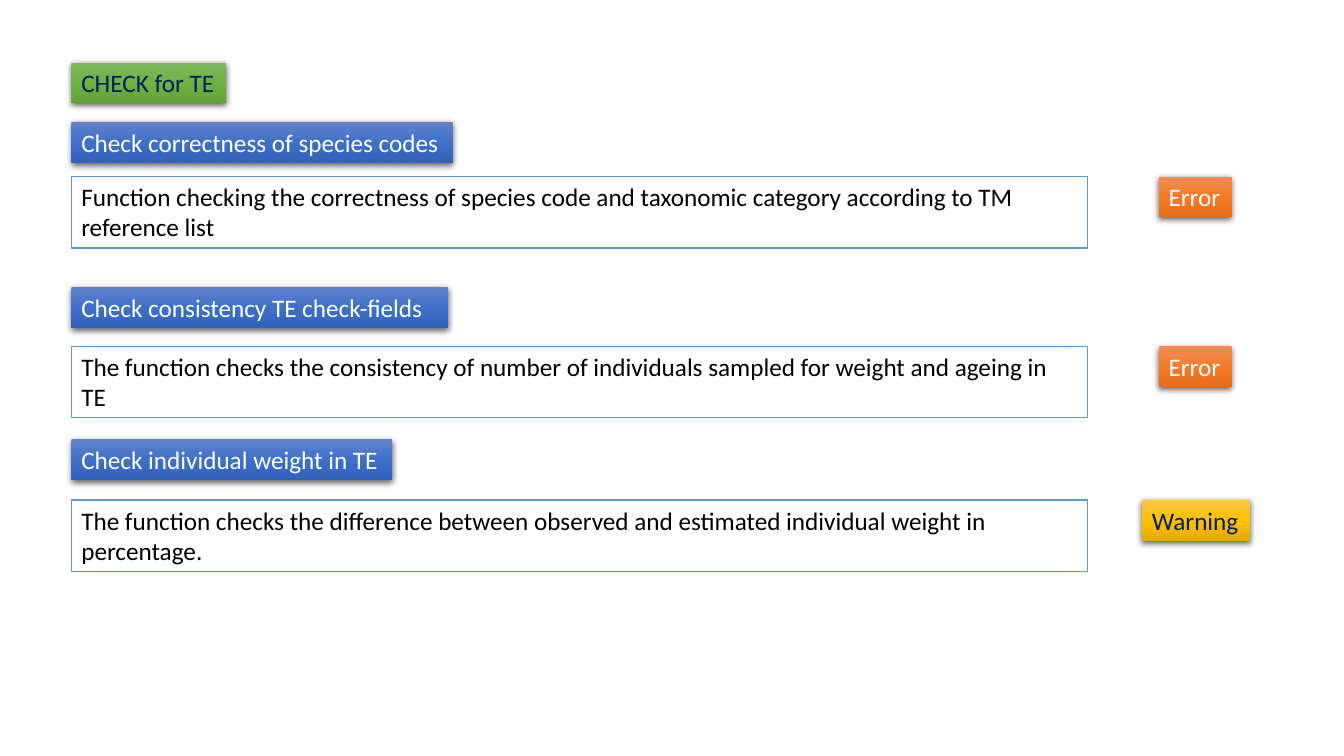
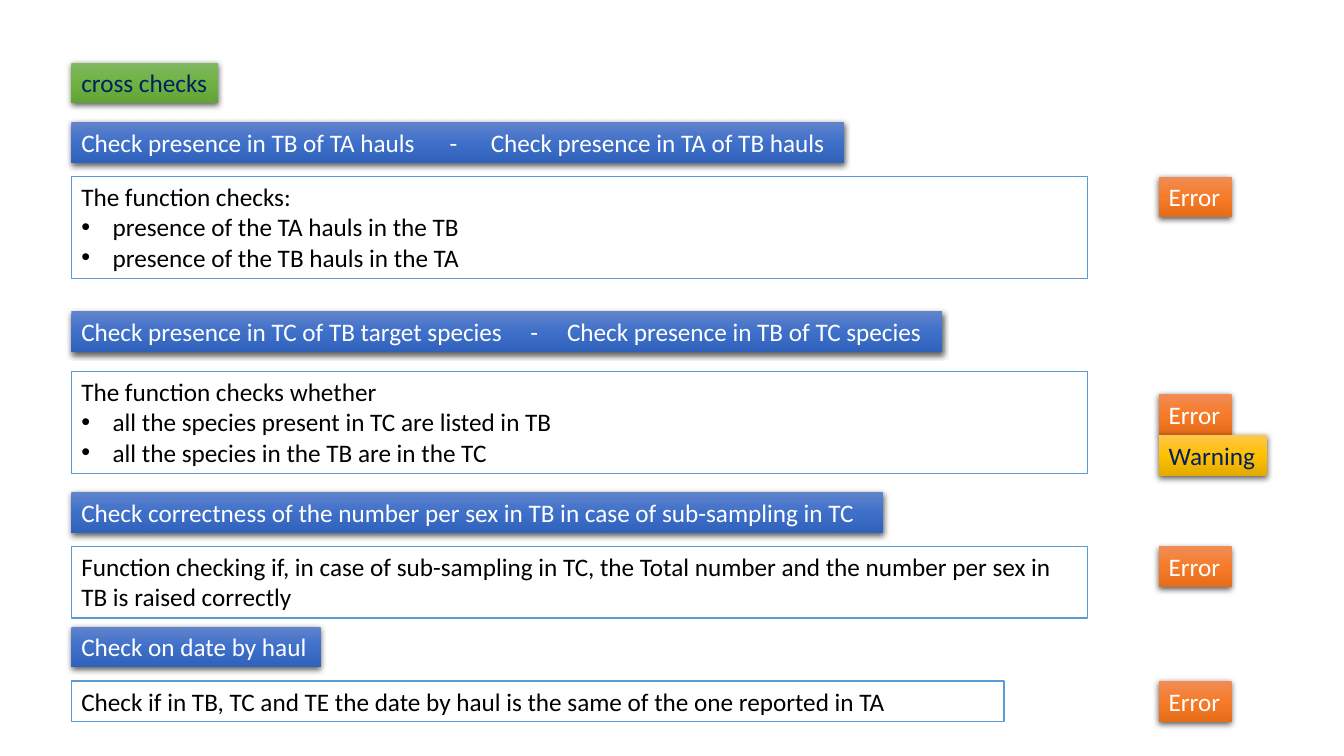
"""Build two slides that list data checks with their severity badges."""
from dataclasses import dataclass

from lxml.etree import SubElement
from pptx import Presentation
from pptx.dml.color import RGBColor
from pptx.enum.shapes import MSO_SHAPE as Shape
from pptx.enum.text import MSO_ANCHOR as Anchor, PP_ALIGN as Align
from pptx.oxml.ns import qn
from pptx.util import Cm, Pt

FONT = "Calibri"
FONT_SIZE = Pt(18)
LEFT = 1.8
BADGE_LEFT = 29.2
TITLE_TOP = 1.58
BODY_WIDTH = 25.61
LINE_HEIGHT = 0.77
PADDING = 0.26
LABEL_HEIGHT = PADDING + LINE_HEIGHT
BULLET_INDENT = Cm(0.79)

COLORS = {
    "white": "FFFFFF",
    "black": "000000",
    "navy": "002060",
    "outline": "5B9BD5",
}
GRADIENTS = {
    "title": ("81B861", "6FB242", "62A336"),
    "heading": ("6183CB", "3E70CA", "3062BB"),
    "Error": ("F18C57", "F67B28", "E56C19"),
    "Warning": ("FFC64B", "FFC000", "E3AB00"),
}
LABEL_COLORS = {"title": "navy", "heading": "white", "Error": "white", "Warning": "navy"}
BADGE_WIDTHS = {"Error": 1.84, "Warning": 2.73}


@dataclass
class Check:
    heading: str
    heading_width: float
    top: float
    body_top: float
    body: str
    bullets: tuple = ()
    lines: int = 2
    body_width: float = BODY_WIDTH
    tabs: tuple = ()
    badges: tuple = ("Error",)
    badge_left: float = BADGE_LEFT
    badge_offset: float = 0


TE_CHECKS = [
    Check("Check correctness of species codes", 9.61, 3.08, 4.45,
          "Function checking the correctness of species code and taxonomic category "
          "according to TM reference list"),
    Check("Check consistency TE check-fields", 9.5, 7.23, 8.73,
          "The function checks the consistency of number of individuals sampled for "
          "weight and ageing in TE"),
    Check("Check individual weight in TE", 8.09, 11.07, 12.6,
          "The function checks the difference between observed and estimated "
          "individual weight in percentage.",
          badges=("Warning",), badge_left=28.78),
]
CROSS_CHECKS = [
    Check("Check presence in TB of TA hauls\t-\tCheck presence in TA of TB hauls",
          19.48, 3.08, 4.45, "The function checks:",
          bullets=("presence of the TA hauls in the TB",
                   "presence of the TB hauls in the TA"),
          lines=3, tabs=(9.28, 10.32)),
    Check("Check presence in TC of TB target species\t-\tCheck presence in TB of TC species",
          21.95, 7.85, 9.36, "The function checks whether",
          bullets=("all the species present in TC are listed in TB",
                   "all the species in the TB are in the TC"),
          lines=3, tabs=(11.32, 12.24), badges=("Error", "Warning"), badge_offset=0.57),
    Check("Check correctness of the number per sex in TB in case of sub-sampling in TC",
          20.45, 12.4, 13.77,
          "Function checking if, in case of sub-sampling in TC, the Total number and "
          "the number per sex in TB is raised correctly"),
    Check("Check on date by haul", 6.28, 15.79, 17.16,
          "Check if in TB, TC and TE the date by haul is the same of the one reported in TA",
          lines=1, body_width=23.5),
]


def color(name):
    return RGBColor.from_string(COLORS[name])


def add_box(page, left, top, width, height):
    box = page.shapes.add_shape(Shape.RECTANGLE, Cm(left), Cm(top), Cm(width), Cm(height))
    box.shadow.inherit = False
    frame = box.text_frame
    frame.word_wrap = True
    frame.vertical_anchor = Anchor.TOP
    frame.margin_right = 0
    return box


def format_text(box, color_name):
    for para in box.text_frame.paragraphs:
        para.alignment = Align.LEFT
        for span in para.runs:
            span.font.name = FONT
            span.font.size = FONT_SIZE
            span.font.color.rgb = color(color_name)


def set_gradient(box, stops):
    box.fill.gradient()
    box.fill.gradient_angle = 270
    stop_list = box._element.spPr.find(".//" + qn("a:gsLst"))
    stop_list.clear()
    for index, value in enumerate(stops):
        stop = SubElement(stop_list, qn("a:gs"), pos=str(index * 50000))
        SubElement(stop, qn("a:srgbClr"), val=value)


def add_shadow(box):
    effects = box._element.spPr.find(qn("a:effectLst"))
    shadow = SubElement(effects, qn("a:outerShdw"), blurRad=str(Pt(4.5)), dist=str(Pt(1.5)),
                        dir="5400000", algn="ctr", rotWithShape="0")
    tint = SubElement(shadow, qn("a:srgbClr"), val=COLORS["black"])
    SubElement(tint, qn("a:alpha"), val="63000")


def add_tabs(para, positions):
    tab_list = SubElement(para._p.get_or_add_pPr(), qn("a:tabLst"))
    for position in positions:
        SubElement(tab_list, qn("a:tab"), pos=str(Cm(position)), algn="l")


def add_bullet(para):
    properties = para._p.get_or_add_pPr()
    properties.set("marL", str(BULLET_INDENT))
    properties.set("indent", str(-BULLET_INDENT))
    SubElement(properties, qn("a:buFont"), typeface="Arial")
    SubElement(properties, qn("a:buChar"), char="•")


def add_label(page, kind, text, left, top, width, tabs=()):
    box = add_box(page, left, top, width, LABEL_HEIGHT)
    set_gradient(box, GRADIENTS[kind])
    box.line.fill.background()
    add_shadow(box)
    box.text_frame.text = text
    if tabs:
        add_tabs(box.text_frame.paragraphs[0], tabs)
    format_text(box, LABEL_COLORS[kind])


def add_body(page, check):
    height = PADDING + LINE_HEIGHT * check.lines
    box = add_box(page, LEFT, check.body_top, check.body_width, height)
    box.fill.solid()
    box.fill.fore_color.rgb = color("white")
    box.line.color.rgb = color("outline")
    box.line.width = Pt(1)
    frame = box.text_frame
    frame.margin_right = frame.margin_left
    frame.text = check.body
    for bullet in check.bullets:
        para = frame.add_paragraph()
        para.text = bullet
        add_bullet(para)
    format_text(box, "black")


def add_check(page, check):
    add_label(page, "heading", check.heading, LEFT, check.top, check.heading_width, check.tabs)
    add_body(page, check)
    for index, badge in enumerate(check.badges):
        top = check.body_top + check.badge_offset + index * LABEL_HEIGHT
        add_label(page, badge, badge, check.badge_left, top, BADGE_WIDTHS[badge])


def add_page(deck, title, title_width, checks):
    page = deck.slides.add_slide(deck.slide_layouts[6])
    add_label(page, "title", title, LEFT, TITLE_TOP, title_width)
    for check in checks:
        add_check(page, check)


def main():
    deck = Presentation()
    deck.slide_width = Cm(33.87)
    deck.slide_height = Cm(19.05)
    add_page(deck, "CHECK for TE", 3.9, TE_CHECKS)
    add_page(deck, "cross checks", 3.7, CROSS_CHECKS)
    deck.save("out.pptx")


if __name__ == "__main__":
    main()
